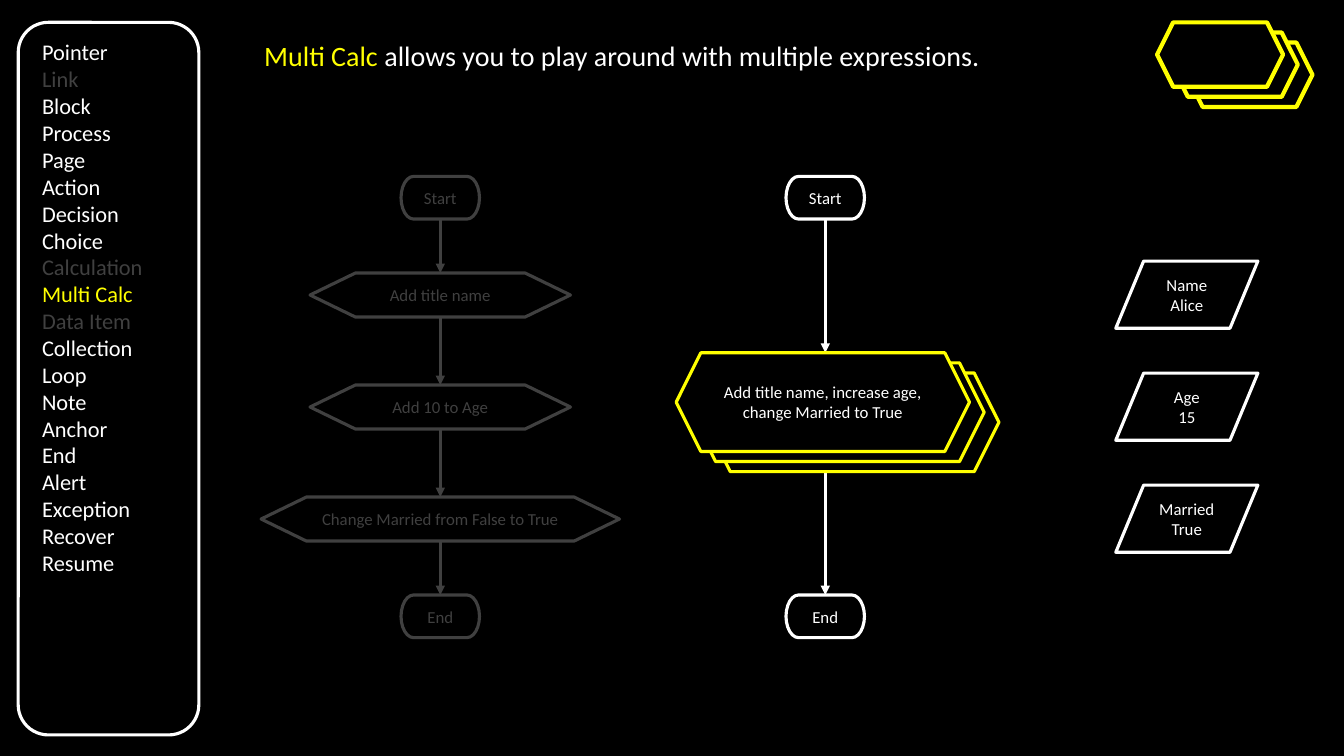
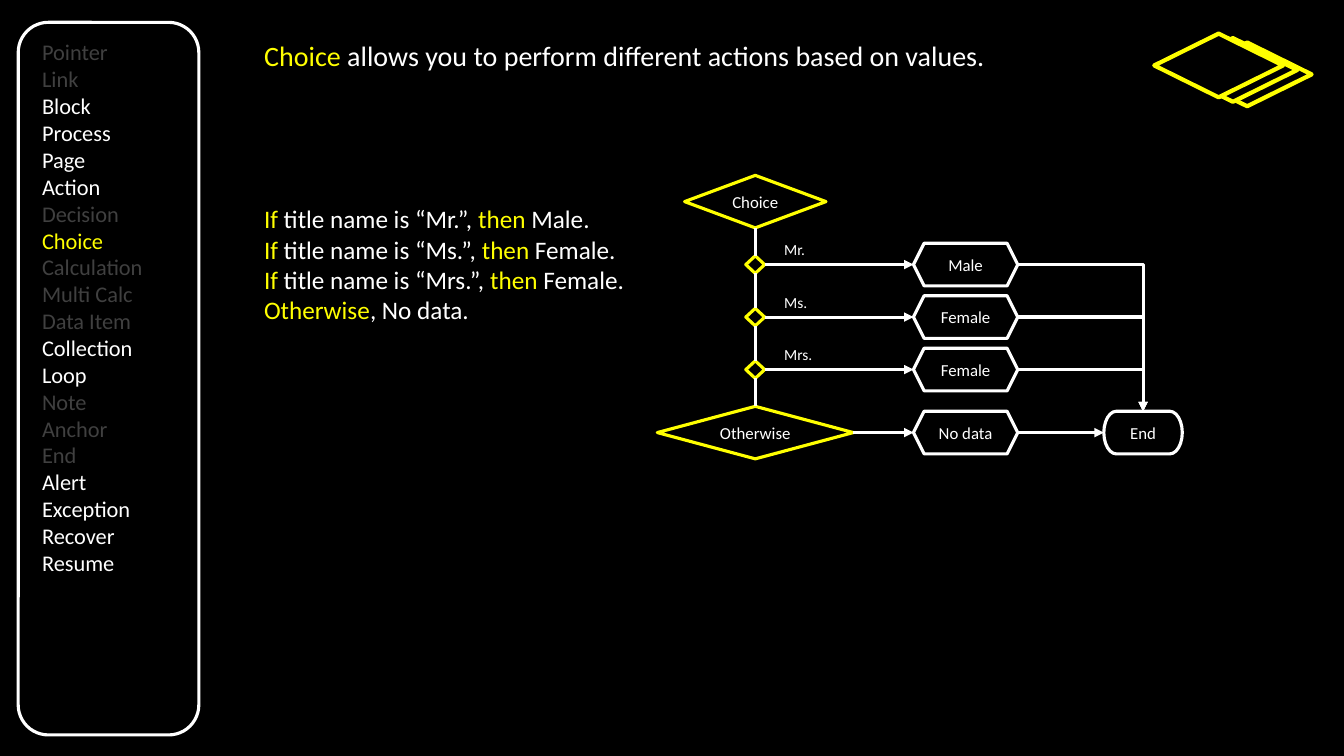
"""Build two slides on flowchart stages: Multi Calc and Choice."""
from lxml import etree
from pptx import Presentation
from pptx.dml.color import RGBColor
from pptx.enum.shapes import MSO_CONNECTOR, MSO_SHAPE
from pptx.enum.text import MSO_ANCHOR, PP_ALIGN
from pptx.oxml.ns import qn
from pptx.util import Pt

HEXAGON = MSO_SHAPE.HEXAGON
DIAMOND = MSO_SHAPE.DIAMOND
TERMINATOR = MSO_SHAPE.FLOWCHART_TERMINATOR
PARALLELOGRAM = MSO_SHAPE.PARALLELOGRAM
ROUNDED = MSO_SHAPE.ROUNDED_RECTANGLE
STRAIGHT = MSO_CONNECTOR.STRAIGHT
ELBOW = MSO_CONNECTOR.ELBOW
CENTER = PP_ALIGN.CENTER
LEFT = PP_ALIGN.LEFT
MIDDLE = MSO_ANCHOR.MIDDLE
TOP = MSO_ANCHOR.TOP

FONT = "Calibri"
HEX = {"black": "000000", "white": "FFFFFF", "yellow": "FFFF00", "dim": "404040"}
COLORS = {name: RGBColor.from_string(value) for name, value in HEX.items()}
CONTENT_LEFT = 181.5
END_WIDTH, END_HEIGHT = 56, 30.5


def draw_shape(page, kind, left, top, width, height, color, text="",
               text_color="white", weight=2.25, adjust=None, layers=1, shift=(0, 0)):
    for layer in reversed(range(layers)):
        shape = page.shapes.add_shape(
            kind, Pt(left + layer * shift[0]), Pt(top + layer * shift[1]),
            Pt(width), Pt(height))
        shape.shadow.inherit = False
        shape.line.color.rgb = COLORS[color]
        shape.line.width = Pt(weight)
        if layers > 1:
            shape.fill.solid()
            shape.fill.fore_color.rgb = COLORS["black"]
        else:
            shape.fill.background()
        if adjust is not None:
            shape.adjustments[0] = adjust
    if text:
        frame = shape.text_frame
        frame.text = text
        frame.vertical_anchor = MIDDLE
        for para in frame.paragraphs:
            para.alignment = CENTER
            para.font.name = FONT
            para.font.size = Pt(12)
            para.font.color.rgb = COLORS[text_color]


def draw_line(page, start_x, start_y, end_x, end_y, color="white", arrow=True, kind=STRAIGHT):
    line = page.shapes.add_connector(kind, Pt(start_x), Pt(start_y), Pt(end_x), Pt(end_y))
    line.line.color.rgb = COLORS[color]
    line.line.width = Pt(2.25)
    properties = line._element.spPr
    if kind == ELBOW:
        properties.find(qn("a:prstGeom")).set("prst", "bentConnector2")
    if arrow:
        etree.SubElement(properties.find(qn("a:ln")), qn("a:tailEnd"), type="triangle")
    etree.SubElement(properties, qn("a:effectLst"))


deck = Presentation()
deck.slide_width, deck.slide_height = Pt(960), Pt(540)
background = deck.slide_master.background.fill
background.solid()
background.fore_color.rgb = COLORS["black"]
title_only = deck.slide_layouts[5]

MENU = ["Pointer", "Link", "Block", "Process", "Page", "Action", "Decision", "Choice",
        "Calculation", "Multi Calc", "Data Item", "Collection", "Loop", "Note", "Anchor",
        "End", "Alert", "Exception", "Recover", "Resume"]
TOPICS = [
    ("Multi Calc", " allows you to play around with multiple expressions.",
     {"Link", "Calculation", "Data Item"}),
    ("Choice", " allows you to perform different actions based on values.",
     {"Pointer", "Link", "Decision", "Calculation", "Multi Calc", "Data Item",
      "Note", "Anchor", "End"}),
]
pages = []
rich_lines = []
for topic, statement, dimmed in TOPICS:
    page = deck.slides.add_slide(title_only)
    pages.append(page)

    title = page.shapes.title
    title.left, title.top = Pt(CONTENT_LEFT), Pt(24)
    title.width, title.height = Pt(620), Pt(32)
    title.text_frame.vertical_anchor = TOP
    rich_lines.append((title.text_frame.paragraphs[0], 20,
                       [(topic, "yellow"), (statement, "white")]))

    draw_shape(page, ROUNDED, 13, 16, 129, 509, "white")
    menu = page.shapes.add_textbox(Pt(23), Pt(24), Pt(100), Pt(395)).text_frame
    menu.word_wrap = True
    menu.text = "\n".join(MENU)
    for para, entry in zip(menu.paragraphs, MENU):
        color = "yellow" if entry == topic else "dim" if entry in dimmed else "white"
        para.font.name = FONT
        para.font.size = Pt(16)
        para.font.color.rgb = COLORS[color]

calc_page, choice_page = pages

stack_shift = (10.5, 7.2)
draw_shape(calc_page, HEXAGON, 826.5, 16, 90, 46, "yellow", weight=3,
           layers=3, shift=stack_shift)
draw_shape(choice_page, DIAMOND, 824.5, 24, 92, 45.5, "yellow", weight=3,
           layers=3, shift=(10.2, 3.2))

data_items = ["Name\nAlice", "Age\n15", "Married\nTrue"]
for index, item in enumerate(data_items):
    draw_shape(calc_page, PARALLELOGRAM, 797, 186.5 + 80 * index, 101.5, 48, "white",
               item, adjust=0.415)

start_top, end_top = 126, 425
single_center, multi_center = 314.5, 589.5
for center, color in [(single_center, "dim"), (multi_center, "white")]:
    for top, text in [(start_top, "Start"), (end_top, "End")]:
        draw_shape(calc_page, TERMINATOR, center - END_WIDTH / 2, top, END_WIDTH, END_HEIGHT,
                   color, text, color)

step_height = 31.5
steps = [("Add title name", 186), ("Add 10 to Age", 186),
         ("Change Married from False to True", 256)]
previous_bottom = start_top + END_HEIGHT
for index, (text, width) in enumerate(steps):
    top = 195 + 80 * index
    draw_shape(calc_page, HEXAGON, single_center - width / 2, top, width, step_height,
               "dim", text, "dim", adjust=1.029)
    draw_line(calc_page, single_center, previous_bottom, single_center, top, "dim")
    previous_bottom = top + step_height
draw_line(calc_page, single_center, previous_bottom, single_center, end_top, "dim")

multi_top, multi_height = 252, 70.5
draw_line(calc_page, multi_center, start_top + END_HEIGHT, multi_center, multi_top)
draw_line(calc_page, multi_center, multi_top + multi_height + 2 * stack_shift[1],
          multi_center, end_top)
draw_shape(calc_page, HEXAGON, 483, multi_top, 209.5, multi_height, "yellow",
           "Add title name, increase age, change Married to True",
           layers=3, shift=stack_shift)

RULES = [("Mr.", "Male"), ("Ms.", "Female"), ("Mrs.", "Female")]
rules = choice_page.shapes.add_textbox(Pt(CONTENT_LEFT), Pt(142), Pt(290), Pt(94)).text_frame
rules.word_wrap = True
rule_spans = [[("If", "yellow"), (f" title name is “{prefix}”, ", "white"),
               ("then", "yellow"), (f" {result}.", "white")] for prefix, result in RULES]
rule_spans.append([("Otherwise", "yellow"), (", No data.", "white")])
for index, spans in enumerate(rule_spans):
    para = rules.add_paragraph() if index else rules.paragraphs[0]
    rich_lines.append((para, 18, spans))

branch_center, otherwise_middle = 539.5, 309
nodes = [("Choice", 101, 37.5, 144)]
nodes += [("", 13.5, 12.5, 189 + 37.5 * index) for index in range(len(RULES))]
nodes.append(("Otherwise", 140, 37.5, otherwise_middle))
previous_bottom = None
for text, width, height, middle in nodes:
    top = middle - height / 2
    draw_shape(choice_page, DIAMOND, branch_center - width / 2, top, width, height,
               "yellow", text)
    if previous_bottom is not None:
        draw_line(choice_page, branch_center, previous_bottom, branch_center, top, arrow=False)
    previous_bottom = top + height

result_left, result_width = 652.5, 74.5
result_right = result_left + result_width
end_left = 788.5
end_center = end_left + END_WIDTH / 2
end_top = otherwise_middle - END_HEIGHT / 2
for (prefix, result), node in zip(RULES + [("", "No data")], nodes[1:]):
    node_width, middle = node[1], node[3]
    draw_shape(choice_page, HEXAGON, result_left, middle - END_HEIGHT / 2,
               result_width, END_HEIGHT, "white", result)
    draw_line(choice_page, branch_center + node_width / 2, middle, result_left, middle)
    if prefix:
        draw_line(choice_page, result_right, middle, end_center, end_top, kind=ELBOW)
        label = choice_page.shapes.add_textbox(Pt(553), Pt(middle - 21), Pt(45), Pt(21))
        label.text_frame.word_wrap = True
        label.text_frame.text = prefix
        para = label.text_frame.paragraphs[0]
        para.font.name = FONT
        para.font.size = Pt(11)
        para.font.color.rgb = COLORS["white"]
    else:
        draw_line(choice_page, result_right, middle, end_left, middle)
draw_shape(choice_page, TERMINATOR, end_left, end_top, END_WIDTH, END_HEIGHT, "white", "End")

for para, size, spans in rich_lines:
    para.alignment = LEFT
    para.font.name = FONT
    para.font.size = Pt(size)
    for text, color in spans:
        span = para.add_run()
        span.text = text
        span.font.color.rgb = COLORS[color]

deck.save("out.pptx")
